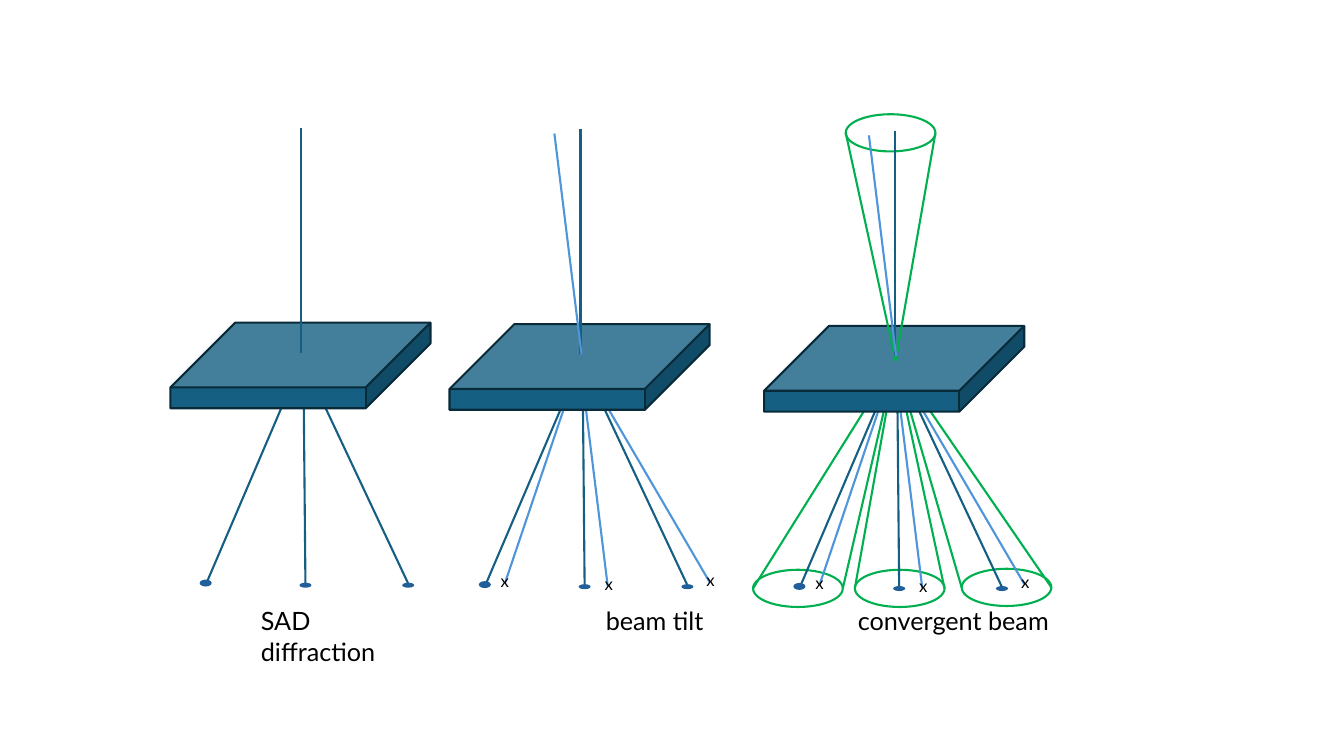
from lxml.etree import SubElement
from pptx import Presentation
from pptx.dml.color import RGBColor
from pptx.enum.shapes import MSO_CONNECTOR as CONN, MSO_SHAPE as SHAPE
from pptx.enum.text import MSO_AUTO_SIZE as FIT
from pptx.oxml.ns import qn
from pptx.util import Pt

THEME = {
    "direct": "156082", "tilted": "4E95D9", "cone": "00B050",
    "plate": "156082", "edge": "092A39", "dot": "215F9A", "text": "000000",
    "font": "Lato", "mark_size": 12, "caption_size": 18, "line": 1.5,
}

# Places inside a panel are measured from the top left of its plate.
PLATE_SIZE = (185.8, 61.2)
INCIDENT = {
    "direct": (93.6, -139, 93.6, 21.6),
    "tilted": (74.9, -136.1, 94.3, 21.6),
}
DIFFRACTED = {
    "direct": [(95, 25.9, 96.5, 187.9), (94.3, 25.9, 25.9, 185.8),
               (94.3, 25.9, 169.9, 186.5)],
    "tilted": [(93.6, 29.5, 113, 187.2), (93.6, 26.6, 185.8, 184.3),
               (93.6, 25.2, 39.6, 185)],
}
DOTS = [(92.2, 185.8, 8.6, 3.6), (165.6, 185.8, 8.6, 3.6), (20.9, 183.6, 8.6, 5)]
MARKS = [(103.7, 175), (29.5, 172.8), (176.4, 172.1)]
MARK_SIZE = (20.2, 21.6)
APEX = (93.9, 24.8)
DISC_SIZE = (64.1, 26.6)
DISCS = [(64.8, 174.2), (-7.9, 174.2), (141.1, 173.5)]
APERTURE = (58.3, -151.2)

PANELS = [
    {"origin": (121.7, 230.4), "beams": ["direct"], "cones": False},
    {"origin": (321.1, 231.5), "beams": ["direct", "tilted"], "cones": False},
    {"origin": (545.8, 232.8), "beams": ["direct", "tilted"], "cones": True},
]
CAPTION = "SAD\tbeam tilt\tconvergent beam diffraction"
CAPTION_BOX = (179.3, 429.1, 609.1, 28.8)
CAPTION_TABS = [246.4, 426.4]


def color(name):
    return RGBColor.from_string(THEME[name])


def add_text(shapes, box, text, size, wrap, tabs=()):
    tf = shapes.add_textbox(*map(Pt, box)).text_frame
    for name, value in {"word_wrap": wrap, "auto_size": FIT.SHAPE_TO_FIT_TEXT}.items():
        setattr(tf, name, value)
    p = tf.paragraphs[0]
    if tabs:
        tab_list = SubElement(p._p.get_or_add_pPr(), qn("a:tabLst"))
        for stop in tabs:
            SubElement(tab_list, qn("a:tab"), pos=str(Pt(stop)), algn="l")
    r = p.add_run()
    r.text = text
    for name, value in {"name": THEME["font"], "size": Pt(THEME[size])}.items():
        setattr(r.font, name, value)
    r.font.color.rgb = color("text")


class Panel:
    """One plate with its beams, drawn as a group."""

    def __init__(self, slide, origin):
        self.shapes = slide.shapes.add_group_shape().shapes
        self.origin = origin

    def place(self, x, y):
        return self.origin[0] + x, self.origin[1] + y

    def line(self, x1, y1, x2, y2, kind):
        ends = (*self.place(x1, y1), *self.place(x2, y2))
        c = self.shapes.add_connector(CONN.STRAIGHT, *map(Pt, ends))
        c.line.color.rgb, c.line.width = color(kind), Pt(THEME["line"])
        SubElement(c._element.spPr, qn("a:effectLst"))

    def shape(self, preset, x, y, w, h, fill=None, edge=None):
        sp = self.shapes.add_shape(preset, *map(Pt, (*self.place(x, y), w, h)))
        sp.shadow.inherit = False
        if fill:
            sp.fill.solid()
            sp.fill.fore_color.rgb = color(fill)
        else:
            sp.fill.background()
        if edge:
            sp.line.color.rgb, sp.line.width = color(edge), Pt(THEME["line"])
        else:
            sp.line.fill.background()
        return sp

    def cone(self, x, y):
        """Draw a disc and the two lines from the apex to its sides."""
        w, h = DISC_SIZE
        self.shape(SHAPE.OVAL, x, y, w, h, edge="cone")
        for side in (x, x + w):
            self.line(*APEX, side, y + h / 2, "cone")


def draw_panel(slide, origin, beams, cones):
    panel = Panel(slide, origin)
    if cones:
        for disc in DISCS:
            panel.cone(*disc)
    for kind in beams:
        for ray in DIFFRACTED[kind]:
            panel.line(*ray, kind)
    plate = panel.shape(SHAPE.CUBE, 0, 0, *PLATE_SIZE, fill="plate", edge="edge")
    plate.adjustments[0] = 0.757
    if cones:
        panel.cone(*APERTURE)
    for kind in beams:
        panel.line(*INCIDENT[kind], kind)
    for dot in DOTS:
        panel.shape(SHAPE.OVAL, *dot, fill="dot")
    if "tilted" in beams:
        for mark in MARKS:
            add_text(panel.shapes, (*panel.place(*mark), *MARK_SIZE), "x", "mark_size", False)


def main():
    prs = Presentation()
    prs.slide_width, prs.slide_height = Pt(960), Pt(540)
    slide = prs.slides.add_slide(prs.slide_layouts[6])
    for panel in PANELS:
        draw_panel(slide, **panel)
    add_text(slide.shapes, CAPTION_BOX, CAPTION, "caption_size", True, CAPTION_TABS)
    prs.save("out.pptx")


if __name__ == "__main__":
    main()
